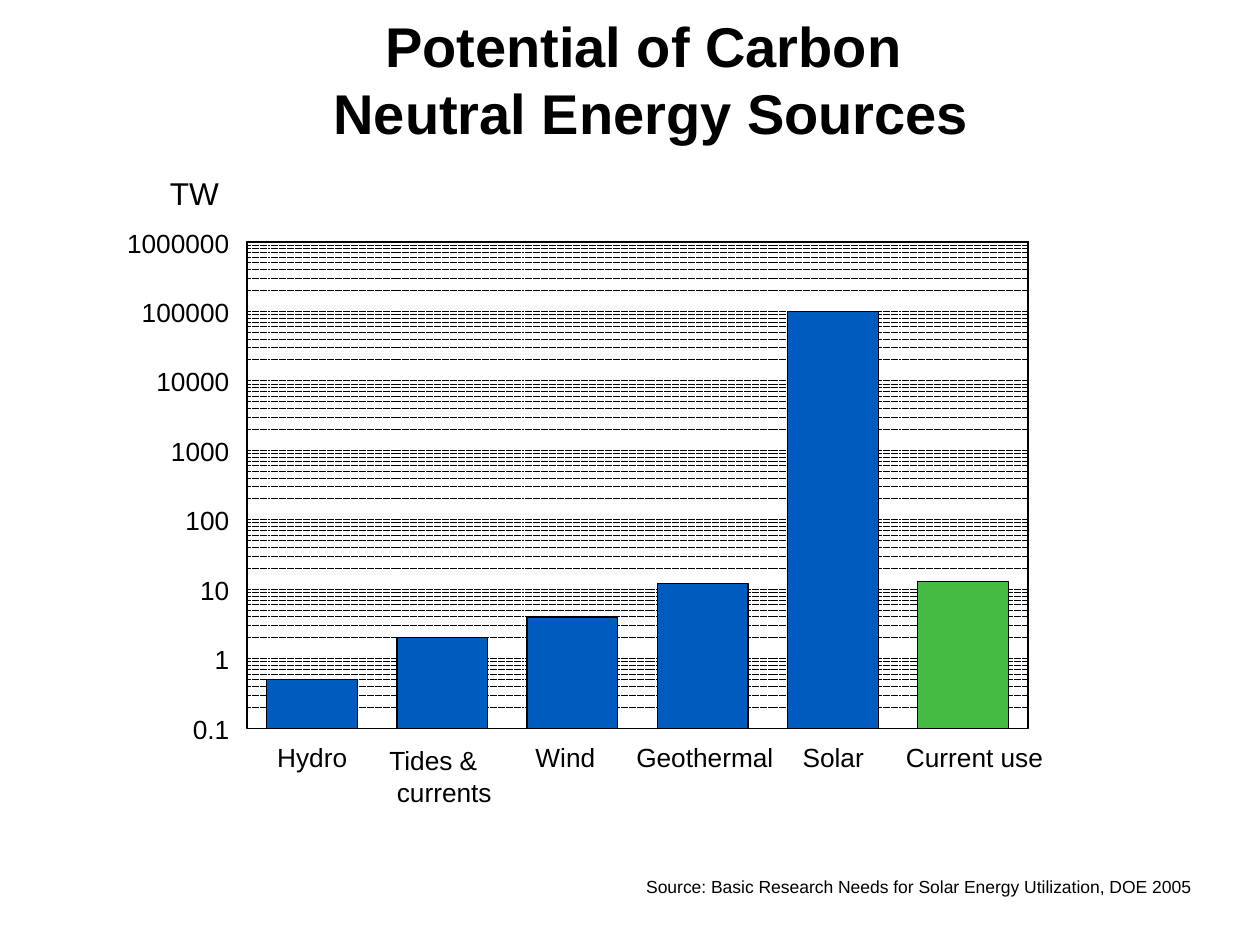
from math import log10

from lxml import etree
from pptx import Presentation
from pptx.dml.color import RGBColor
from pptx.enum.dml import MSO_LINE
from pptx.enum.shapes import MSO_CONNECTOR, MSO_SHAPE
from pptx.enum.text import MSO_ANCHOR, PP_ALIGN as Align
from pptx.oxml.ns import qn
from pptx.util import Inches, Pt

BLACK, BLUE, GREEN = "000000", "005BBF", "46BB43"
FONT = "Arial"
LOWEST, DECADES = 0.1, 7
BAR_WIDTH = 0.72

# Name, terawatts, bar colour, label left, label top, label width
SOURCES = [
    ("Hydro", 0.5, BLUE, 2.2, 5.88, 0.56),
    ("Tides &\ncurrents", 2, BLUE, 3.09, 5.91, 0.9),
    ("Wind", 4, BLUE, 4.25, 5.88, 0.53),
    ("Geothermal", 12, BLUE, 5.05, 5.88, 1.09),
    ("Solar", 100000, BLUE, 6.37, 5.88, 0.49),
    ("Current use", 13, GREEN, 7.19, 5.88, 1.09),
]


def color(hex_string):
    return RGBColor.from_string(hex_string)


def add_text(slide, text, box, size, align=Align.LEFT, bold=False,
             margins=(0, 0), wrap=False, anchor=MSO_ANCHOR.TOP):
    shape = slide.shapes.add_textbox(*map(Inches, box))
    frame = shape.text_frame
    frame.word_wrap = wrap
    frame.vertical_anchor = anchor
    frame.margin_left = frame.margin_right = Inches(margins[0])
    frame.margin_top = frame.margin_bottom = Inches(margins[1])
    frame.text = text
    for paragraph in frame.paragraphs:
        paragraph.alignment = align
        for run in paragraph.runs:
            run.font.name = FONT
            run.font.size = Pt(size)
            run.font.bold = bold
            run.font.color.rgb = color(BLACK)
    return frame


def add_rectangle(slide, box, fill=None):
    shape = slide.shapes.add_shape(MSO_SHAPE.RECTANGLE, *map(Inches, box))
    shape.shadow.inherit = False
    if fill:
        shape.fill.solid()
        shape.fill.fore_color.rgb = color(fill)
    else:
        shape.fill.background()
    shape.line.color.rgb = color(BLACK)
    shape.line.width = Pt(0.75)


def add_grid_line(slide, left, right, top):
    line = slide.shapes.add_connector(
        MSO_CONNECTOR.STRAIGHT, Inches(left), Inches(top), Inches(right), Inches(top))
    line.line.color.rgb = color(BLACK)
    line.line.dash_style = MSO_LINE.ROUND_DOT
    properties = line._element.spPr
    # Hairline: a zero width has to be written out, or the theme's width applies
    properties.find(qn("a:ln")).set("w", "0")
    etree.SubElement(properties, qn("a:effectLst"))


def add_plot(slide, box):
    left, top, width, height = box
    bottom = top + height

    def level(value):
        return bottom - height * log10(value / LOWEST) / DECADES

    # Logarithmic grid: nine lines in each decade
    for decade in range(DECADES):
        for step in range(2, 11):
            add_grid_line(slide, left, left + width, level(LOWEST * step * 10 ** decade))

    # Bars, centred in equal columns
    column = width / len(SOURCES)
    for index, (_, value, fill, *_) in enumerate(SOURCES):
        bar_left = left + column * (index + 0.5) - BAR_WIDTH / 2
        bar_top = level(value)
        add_rectangle(slide, (bar_left, bar_top, BAR_WIDTH, bottom - bar_top), fill)

    # Frame
    add_rectangle(slide, box)

    # Value labels, right-aligned beside the axis
    for decade in range(DECADES + 1):
        text = f"{LOWEST * 10 ** decade:.0f}" if decade else str(LOWEST)
        label_width = 0.29 if decade == 0 else 0.116 * len(text)
        add_text(slide, text,
                 (left - 0.14 - label_width, level(LOWEST * 10 ** decade) - 0.12,
                  label_width, 0.25), 15, Align.RIGHT)


def add_category_labels(slide):
    for name, _, _, left, top, width in SOURCES:
        lines = name.count("\n") + 1
        frame = add_text(slide, name, (left, top, width, 0.25 * lines), 15)
        # The second line is set in slightly
        for paragraph in frame.paragraphs[1:]:
            paragraph._p.get_or_add_pPr().set("marL", str(Inches(0.06)))


def main():
    presentation = Presentation()
    presentation.slide_width = Inches(10)
    presentation.slide_height = Inches(7.5)
    slide = presentation.slides.add_slide(presentation.slide_layouts[6])

    add_text(slide, "Potential of Carbon \vNeutral Energy Sources", (0.92, 0, 8.5, 1.25),
             32, Align.CENTER, bold=True, margins=(0.1, 0.05), wrap=True,
             anchor=MSO_ANCHOR.MIDDLE)
    add_plot(slide, (1.96, 1.92, 6.2, 3.86))
    add_category_labels(slide)

    # Unit and source note
    add_text(slide, "TW", (1.25, 1.33, 0.59, 0.4), 18, margins=(0.1, 0.05))
    add_text(slide, "Source: Basic Research Needs for Solar Energy Utilization, DOE 2005",
             (5.03, 6.9, 4.52, 0.27), 10, margins=(0.1, 0.05))

    presentation.save("out.pptx")


if __name__ == "__main__":
    main()
